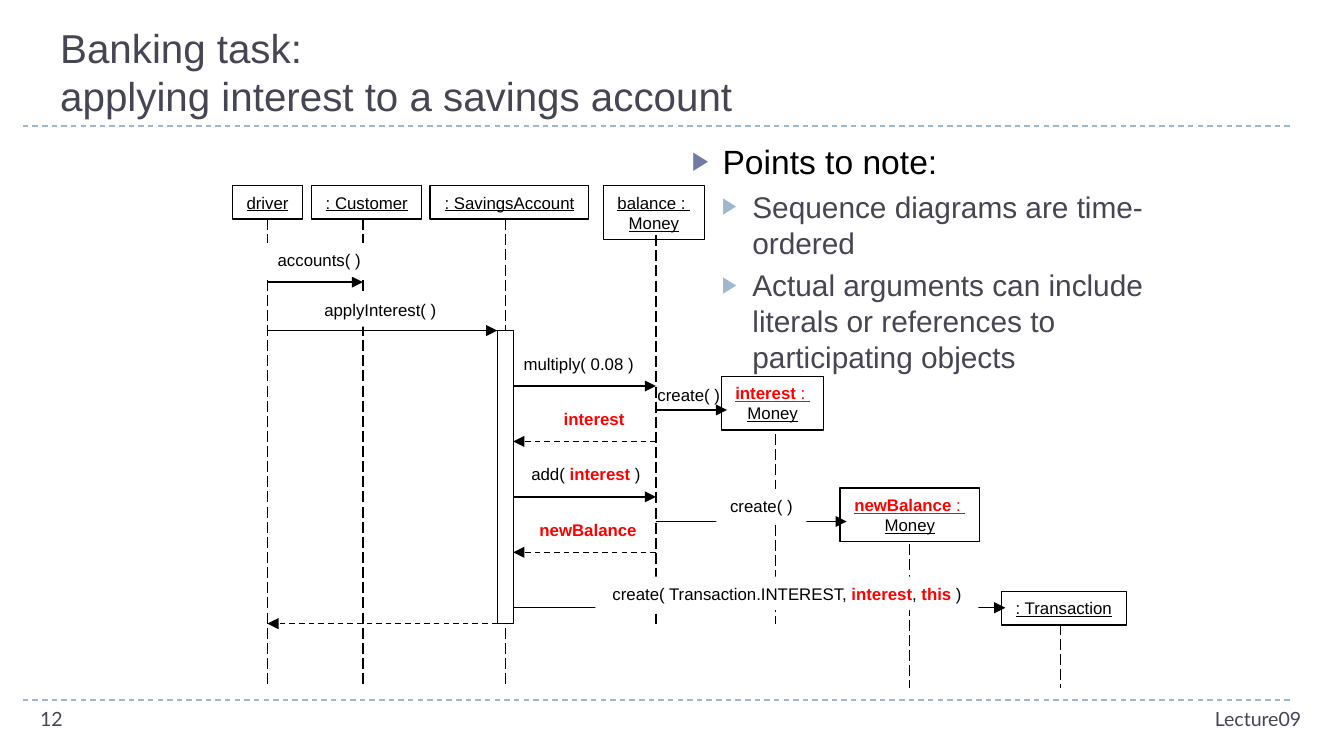
import pptx
import pptx.util
import pptx.dml.color
import pptx.enum.dml
import pptx.enum.shapes
import pptx.enum.text
import pptx.oxml.ns

Pt = pptx.util.Pt
RGBColor = pptx.dml.color.RGBColor
Dash = pptx.enum.dml.MSO_LINE
Align = pptx.enum.text.PP_ALIGN
Anchor = pptx.enum.text.MSO_ANCHOR
RECTANGLE = pptx.enum.shapes.MSO_SHAPE.RECTANGLE

BLACK = RGBColor(0x00, 0x00, 0x00)
WHITE = RGBColor(0xFF, 0xFF, 0xFF)
RED = RGBColor(0xFF, 0x00, 0x00)
SLATE = RGBColor(0x46, 0x46, 0x53)
INDIGO = RGBColor(0x72, 0x7C, 0xA3)
SKY = RGBColor(0x9F, 0xB8, 0xCD)

PLAIN = {"size": Pt(9), "name": "Arial", "bold": False}
HOT = {**PLAIN, "bold": True}
TITLE = {"size": Pt(21.6), "name": "Arial"}
POINT = {"size": Pt(18), "name": "Arial"}
SUBPOINT = {"size": Pt(16), "name": "Arial"}
FOOTER = {"size": Pt(10.5), "name": "Lato"}
UNDERLINED = {"underline": True}

# Text is a list of paragraphs; a paragraph is a list of (words, format, colour).
TITLE_TEXT = [[("Banking task:\vapplying interest to a savings account", TITLE, SLATE)]]
# words, format, text colour, bullet colour, indent, space before
NOTES = [
    ("Points to note:", POINT, BLACK, INDIGO, 16.4, 4.5),
    ("Sequence diagrams are time-ordered", SUBPOINT, SLATE, SKY, 32.4, 3.8),
    ("Actual arguments can include literals or references to participating objects",
     SUBPOINT, SLATE, SKY, 32.4, 3.8),
]
HANGING = 16.4
RULES_Y = (375.1, 67.5)

# box (left, top, width, height), lifeline (x, top, bottom), text
MONEY = [("Money", PLAIN, BLACK)]
OBJECTS = [
    ((124.6, 99.4, 37.4, 18), (143.3, 117.4, 368.6), [[("driver", PLAIN, BLACK)]]),
    ((167, 99.4, 59, 18), (194.4, 117.4, 368.6), [[(": Customer", PLAIN, BLACK)]]),
    ((230.4, 99.4, 85, 18), (270.7, 117.4, 368.6), [[(": SavingsAccount", PLAIN, BLACK)]]),
    ((323.3, 99.4, 54, 28.8), (351.4, 126, 334.1), [[("balance : ", PLAIN, BLACK)], MONEY]),
    ((386.6, 201.6, 54.7, 28.8), (415.4, 232.6, 334.1),
     [[("interest", HOT, RED), (" : ", PLAIN, RED)], MONEY]),
    ((450, 261.4, 74.9, 28.8), (487.4, 291.6, 368.6),
     [[("newBalance", HOT, RED), (" : ", PLAIN, RED)], MONEY]),
    ((536.4, 316.8, 67, 18), (568.1, 334.1, 368.6), [[(": Transaction", PLAIN, BLACK)]]),
]
DRIVER, CUSTOMER, ACCOUNT, BALANCE = [lifeline[0] for _, lifeline, _ in OBJECTS[:4]]

FIRST_ROW, ROW_STEP = 177.1, 29.7
ROWS = [FIRST_ROW + ROW_STEP * k for k in range(6)]
BAR_WIDTH, BAR_END = 8.6, 334.1
BAR_LEFT, BAR_RIGHT = ACCOUNT - BAR_WIDTH / 2, ACCOUNT + BAR_WIDTH / 2

# from x, to x, y, line style, label (left, top, width), label fill, label runs
MESSAGES = [
    (DRIVER, CUSTOMER, 151.2, None, (141.1, 130.3, 59.8), WHITE,
     [("accounts( )", PLAIN, BLACK)]),
    (DRIVER, BAR_LEFT, ROWS[0], None, (166.3, 157, 74.9), WHITE,
     [("applyInterest( )", PLAIN, BLACK)]),
    (ACCOUNT, BALANCE, ROWS[1], None, (272.9, 185.8, 74.2), WHITE,
     [("multiply( 0.08 )", PLAIN, BLACK)]),
    (BALANCE, BAR_RIGHT, ROWS[2], Dash.DASH, (294.5, 215.3, 47.5), WHITE,
     [("interest", HOT, RED)]),
    (ACCOUNT, BALANCE, ROWS[3], None, (277.2, 244.8, 73.4), WHITE,
     [("add( ", PLAIN, BLACK), ("interest", HOT, RED), (" )", PLAIN, BLACK)]),
    (BALANCE, BAR_RIGHT, ROWS[4], Dash.DASH, (281.5, 275, 67), WHITE,
     [("newBalance", HOT, RED)]),
    (ACCOUNT, 538.6, ROWS[5], None, (319, 308.9, 205.2), WHITE,
     [("create( Transaction.INTEREST, ", PLAIN, BLACK), ("interest", HOT, RED),
      (", ", PLAIN, BLACK), ("this", HOT, RED), (" )", PLAIN, BLACK)]),
    (BAR_LEFT, DRIVER, BAR_END, Dash.DASH, None, None, None),
    (BALANCE, 389.5, 219.6, None, (344.9, 202.3, 48.2), None,
     [("create( )", PLAIN, BLACK)]),
    (BALANCE, 453.6, 279.4, None, (383.8, 262.1, 48.2), WHITE,
     [("create( )", PLAIN, BLACK)]),
]
LABEL_HEIGHT = 18

deck = pptx.Presentation()
deck.slide_width, deck.slide_height = Pt(720), Pt(405)
slide = deck.slides.add_slide(deck.slide_layouts[6])


def write(shape, paragraphs, align=Align.LEFT, anchor=Anchor.TOP, extra=None):
    """Fill the shape with text; a vertical tab in the words breaks the line."""
    frame = shape.text_frame
    frame.word_wrap, frame.vertical_anchor = True, anchor
    for index, runs in enumerate(paragraphs):
        paragraph = frame.add_paragraph() if index else frame.paragraphs[0]
        paragraph.alignment = align
        for words, style, colour in runs:
            for number, part in enumerate(words.split("\v")):
                if number:
                    paragraph.add_line_break()
                run = paragraph.add_run()
                run.text = part
                for key, value in {**style, **(extra or {})}.items():
                    setattr(run.font, key, value)
                run.font.color.rgb = colour
    return frame


def add_text(box, paragraphs, **layout):
    return write(slide.shapes.add_textbox(*map(Pt, box)), paragraphs, **layout)


def add_box(box, fill=None, outline=None):
    shape = slide.shapes.add_shape(RECTANGLE, *map(Pt, box))
    shape.shadow.inherit = False
    if fill is None:
        shape.fill.background()
    else:
        shape.fill.solid()
        shape.fill.fore_color.rgb = fill
    if outline is None:
        shape.line.fill.background()
    else:
        shape.line.color.rgb = outline
        shape.line.width = Pt(0.75)
    return shape


def fit_to_words(frame):
    frame.word_wrap = False
    frame.auto_size = pptx.enum.text.MSO_AUTO_SIZE.SHAPE_TO_FIT_TEXT


def add_child(parent, tag, **attributes):
    child = parent.makeelement(pptx.oxml.ns.qn("a:" + tag), attributes)
    parent.append(child)
    return child


def add_line(x1, y1, x2, y2, colour=BLACK, dash=None, arrow=False):
    line = slide.shapes.add_connector(
        pptx.enum.shapes.MSO_CONNECTOR.STRAIGHT, Pt(x1), Pt(y1), Pt(x2), Pt(y2))
    line.line.color.rgb, line.line.width = colour, Pt(0.75)
    if dash is not None:
        line.line.dash_style = dash
    properties = line._element.spPr
    if arrow:
        add_child(properties.find(pptx.oxml.ns.qn("a:ln")), "tailEnd", type="triangle")
    add_child(properties, "effectLst")
    return line


def add_bullet(paragraph, colour, indent):
    properties = paragraph._p.get_or_add_pPr()
    properties.set("marL", str(Pt(indent)))
    properties.set("indent", str(-Pt(HANGING)))
    add_child(add_child(properties, "buClr"), "srgbClr", val=str(colour))
    add_child(properties, "buSzPct", val="76000")
    add_child(properties, "buFont", typeface="Arial")
    add_child(properties, "buChar", char="▶")


for y in RULES_Y:
    add_line(12.2, y, 692.6, y, SKY, Dash.DASH)
add_text((25.2, 13.7, 616.3, 54), TITLE_TEXT, anchor=Anchor.BOTTOM)

notes = add_text((363.6, 72, 258.5, 113.8), [[note[:3]] for note in NOTES])
for paragraph, (_, _, _, bullet, indent, before) in zip(notes.paragraphs, NOTES):
    paragraph.space_before = Pt(before)
    add_bullet(paragraph, bullet, indent)

for box, (x, top, bottom), text in OBJECTS:
    head = add_box(box, outline=BLACK)
    fit_to_words(write(head, text, Align.CENTER, Anchor.MIDDLE, extra=UNDERLINED))
    lifeline = add_line(x, top, x, bottom, dash=Dash.LONG_DASH)
    left, head_top, width, height = box
    if abs(left + width / 2 - x) < 0.1 and abs(head_top + height - top) < 0.1:
        lifeline.begin_connect(head, 2)

for start, end, y, dash, label, fill, runs in MESSAGES:
    add_line(start, y, end, y, dash=dash, arrow=True)
    if label:
        fit_to_words(write(add_box((*label, LABEL_HEIGHT), fill), [runs], Align.CENTER))
add_box((BAR_LEFT, ROWS[0], BAR_WIDTH, BAR_END - ROWS[0]), WHITE, BLACK)

add_text((524.2, 375.1, 180, 21.6), [[("Lecture09", FOOTER, SLATE)]], align=Align.RIGHT)
add_text((14.4, 375.1, 156.2, 21.6), [[("12", FOOTER, SLATE)]])

deck.save("out.pptx")
